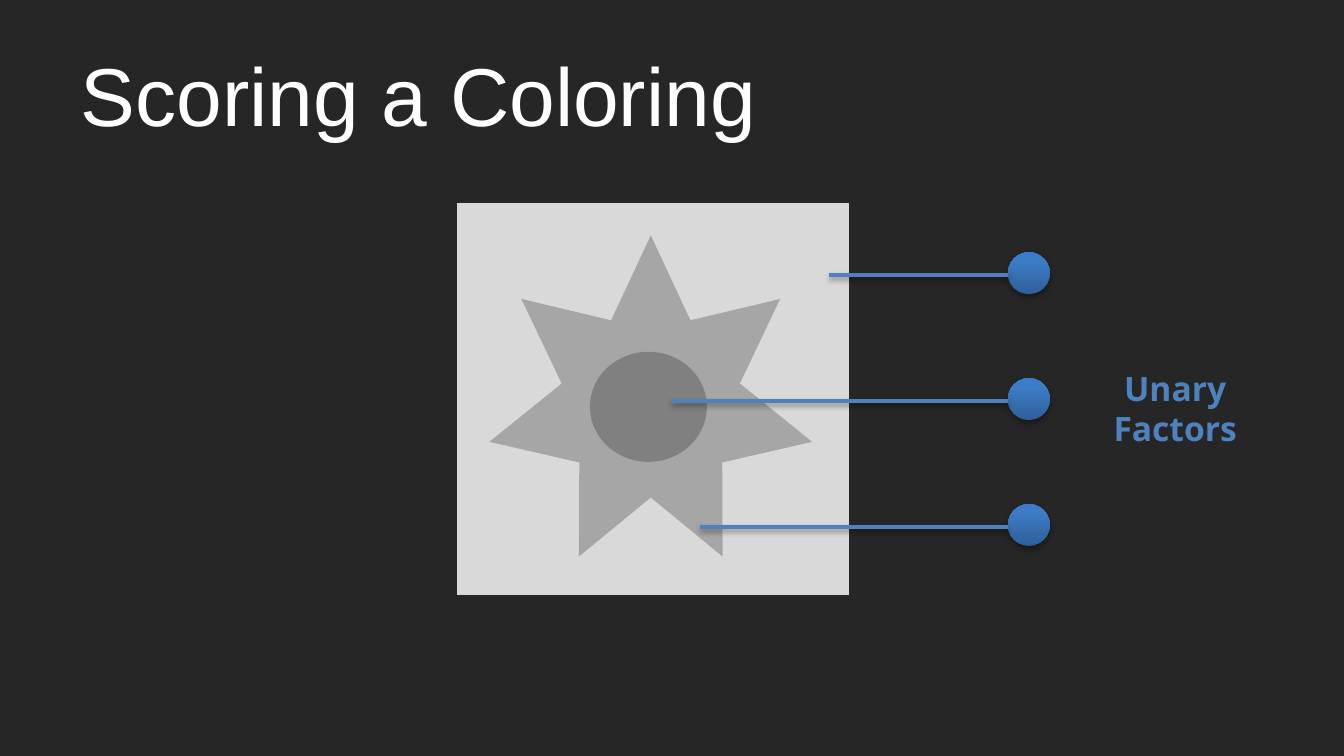
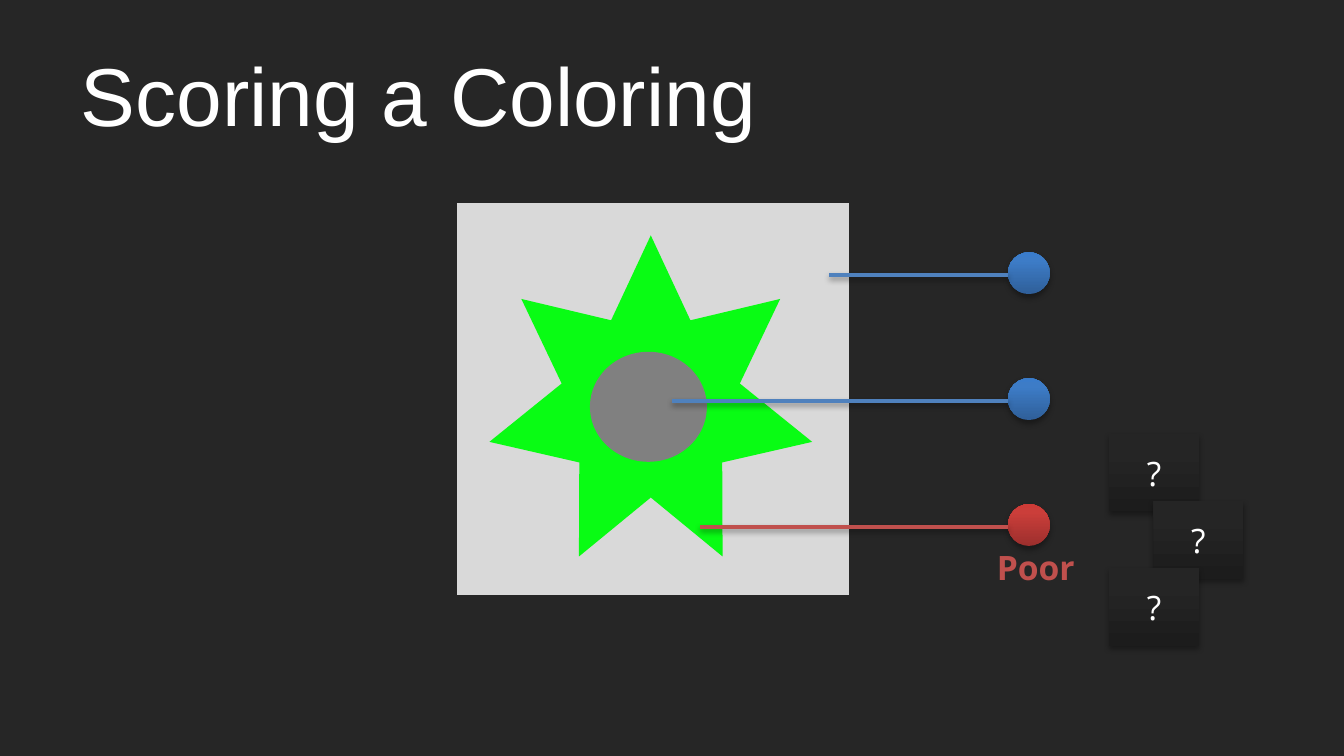
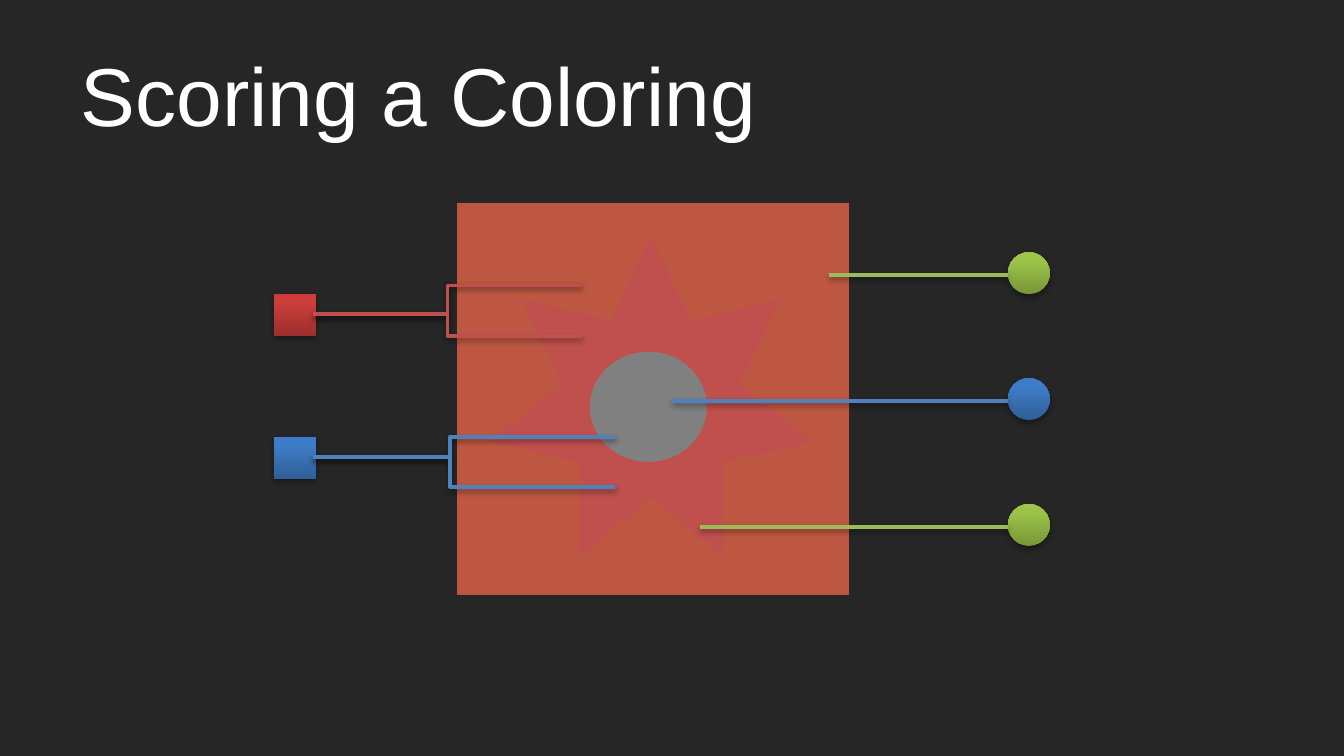
from lxml.etree import SubElement
from pptx import Presentation
from pptx.dml.color import RGBColor
from pptx.enum.shapes import MSO_CONNECTOR, MSO_SHAPE
from pptx.enum.text import MSO_ANCHOR, MSO_AUTO_SIZE, PP_ALIGN
from pptx.oxml.ns import qn
from pptx.util import Cm, Pt

# Shared colours: line colour and gradient stops from bottom to top
DARK, WHITE, GREY = "262626", "FFFFFF", "808080"
LINE = {"blue": "4F81BD", "red": "C0504D", "green": "9BBB59"}
GLOSS = {
    "blue": ("2F5F99", "3D7CC7", "3A7CCB"),
    "red": ("9C2F2D", "CB3E3A", "CE3B37"),
    "green": ("779737", "9BC348", "9DC746"),
    "dark": ("1C1C1C", "252525", "252525"),
}

# Shared places, in centimetres
DOT = 0.79
DOT_X, DOT_Y, DOT_STEP = 19.05, 4.77, 2.38
TIPS = (15.67, 12.7, 13.23)


def color(text):
    return RGBColor.from_string(text)


def box(*sizes):
    return [Cm(size) for size in sizes]


def node(parent, tag, **attrs):
    return SubElement(parent, qn(tag), {key: str(val) for key, val in attrs.items()})


def shade(effects, blur, drop, alpha):
    """Add a soft black shadow straight below."""
    outer = node(effects, "a:outerShdw", blurRad=Pt(blur), dist=Pt(drop),
                 dir=5400000, rotWithShape=0)
    black = node(outer, "a:srgbClr", val="000000")
    node(black, "a:alpha", val=alpha * 1000)


def write(frame, text, size, tint, font="Open Sans", bold=False,
          align=PP_ALIGN.CENTER):
    para = frame.paragraphs[0]
    para.alignment = align
    run = para.add_run()
    run.text = text
    run.font.size = Pt(size)
    run.font.name = font
    run.font.bold = bold
    run.font.color.rgb = color(tint)


# Shapes
def flat(shapes, kind, place, fill):
    shape = shapes.add_shape(kind, *box(*place))
    shape.shadow.inherit = False
    shape.fill.solid()
    shape.fill.fore_color.rgb = color(fill)
    shape.line.fill.background()
    return shape


def gloss(shapes, kind, place, name):
    shape = flat(shapes, kind, place, DARK)
    shape.fill.gradient()
    grad = shape.fill._xPr.find(qn("a:gradFill"))
    for child in list(grad):
        grad.remove(child)
    stops = node(grad, "a:gsLst")
    for spot, tint in zip((0, 80, 100), GLOSS[name]):
        node(node(stops, "a:gs", pos=spot * 1000), "a:srgbClr", val=tint)
    node(grad, "a:lin", ang=270 * 60000, scaled=0)
    shade(shape._element.spPr.find(qn("a:effectLst")), 3.1, 1.8, 35)
    return shape


def wire(shapes, kind, start, end, name):
    line = shapes.add_connector(kind, *box(*start, *end))
    line.line.width = Pt(2)
    line.line.color.rgb = color(LINE[name])
    shade(node(line._element.spPr, "a:effectLst"), 3.1, 1.6, 38)
    return line


# Parts of the diagram
def flower(slide, back, petal):
    shapes = slide.shapes.add_group_shape().shapes
    frame = flat(shapes, MSO_SHAPE.RECTANGLE, (8.61, 3.81, 7.47, 7.47), back)
    frame.line.color.rgb = color(DARK)
    frame.line.width = Pt(2)
    star = flat(shapes, MSO_SHAPE.STAR_7_POINT, (9.25, 4.45, 6.1, 6.07), petal)
    star.adjustments[0] = 0.276
    flat(shapes, MSO_SHAPE.OVAL, (11.15, 6.65, 2.21, 2.08), GREY)


def pins(slide, names):
    """Draw one round factor per region, with a line to it."""
    for row, (tip, name) in enumerate(zip(TIPS, names)):
        shapes = slide.shapes.add_group_shape().shapes
        top = DOT_Y + row * DOT_STEP
        gloss(shapes, MSO_SHAPE.OVAL, (DOT_X, top, DOT, DOT), name)
        level = top + 0.43
        wire(shapes, MSO_CONNECTOR.STRAIGHT, (DOT_X, level), (tip, level), name)


def fork(slide, top, bend, tip, levels, name):
    """Draw a square factor whose line splits to two regions."""
    gloss(slide.shapes, MSO_SHAPE.RECTANGLE, (5.18, top, DOT, DOT), name)
    left = 5.92
    for level in levels:
        arm = wire(slide.shapes, MSO_CONNECTOR.ELBOW, (left, top + 0.38),
                   (tip, level), name)
        geom = arm._element.spPr.find(qn("a:prstGeom"))
        guides = geom.find(qn("a:avLst"))
        if guides is None:
            guides = node(geom, "a:avLst")
        ratio = round((bend - left) / (tip - left) * 100000)
        node(guides, "a:gd", name="adj1", fmla=f"val {ratio}")


def label(slide, place, text, name):
    frame = slide.shapes.add_textbox(*box(*place)).text_frame
    frame.word_wrap = True
    frame.auto_size = MSO_AUTO_SIZE.SHAPE_TO_FIT_TEXT
    write(frame, text, 18, LINE[name], bold=True)


def doubts(slide):
    for row, left in enumerate((20.96, 21.8, 20.96)):
        tile = gloss(slide.shapes, MSO_SHAPE.RECTANGLE,
                     (left, 8.2 + row * 1.27, 1.7, 1.47), "dark")
        tile.text_frame.vertical_anchor = MSO_ANCHOR.MIDDLE
        write(tile.text_frame, "?", 18, WHITE)


def page(deck, back, petal, names):
    """Start a slide with its title, flower and round factors."""
    slide = deck.slides.add_slide(deck.slide_layouts[5])
    title = slide.shapes.title
    title.left, title.top, title.width, title.height = box(1.27, 0.58, 22.86, 2.39)
    frame = title.text_frame
    frame.auto_size = MSO_AUTO_SIZE.NONE
    frame.vertical_anchor = MSO_ANCHOR.MIDDLE
    write(frame, "Scoring a Coloring", 44, WHITE, "Arial", align=PP_ALIGN.LEFT)
    flower(slide, back, petal)
    pins(slide, names)
    return slide


def main():
    deck = Presentation()
    deck.slide_width, deck.slide_height = box(25.4, 14.29)
    fill = deck.slide_master.background.fill
    fill.solid()
    fill.fore_color.rgb = color(DARK)

    # Unary factors
    slide = page(deck, "D9D9D9", "A6A6A6", ("blue", "blue", "blue"))
    label(slide, (20.52, 6.83, 3.38, 1.8), "Unary Factors", "blue")

    # Poor score for one region
    slide = page(deck, "D9D9D9", "09FC14", ("blue", "blue", "red"))
    label(slide, (18.52, 10.21, 2.11, 1.02), "Poor", "red")
    doubts(slide)

    # Pairs of regions
    slide = page(deck, "BE5742", LINE["red"], ("green", "blue", "green"))
    fork(slide, 5.56, 8.46, 11, (5.4, 6.35), "red")
    fork(slide, 8.26, 8.5, 11.63, (8.26, 9.2), "blue")

    deck.save("out.pptx")


if __name__ == "__main__":
    main()
